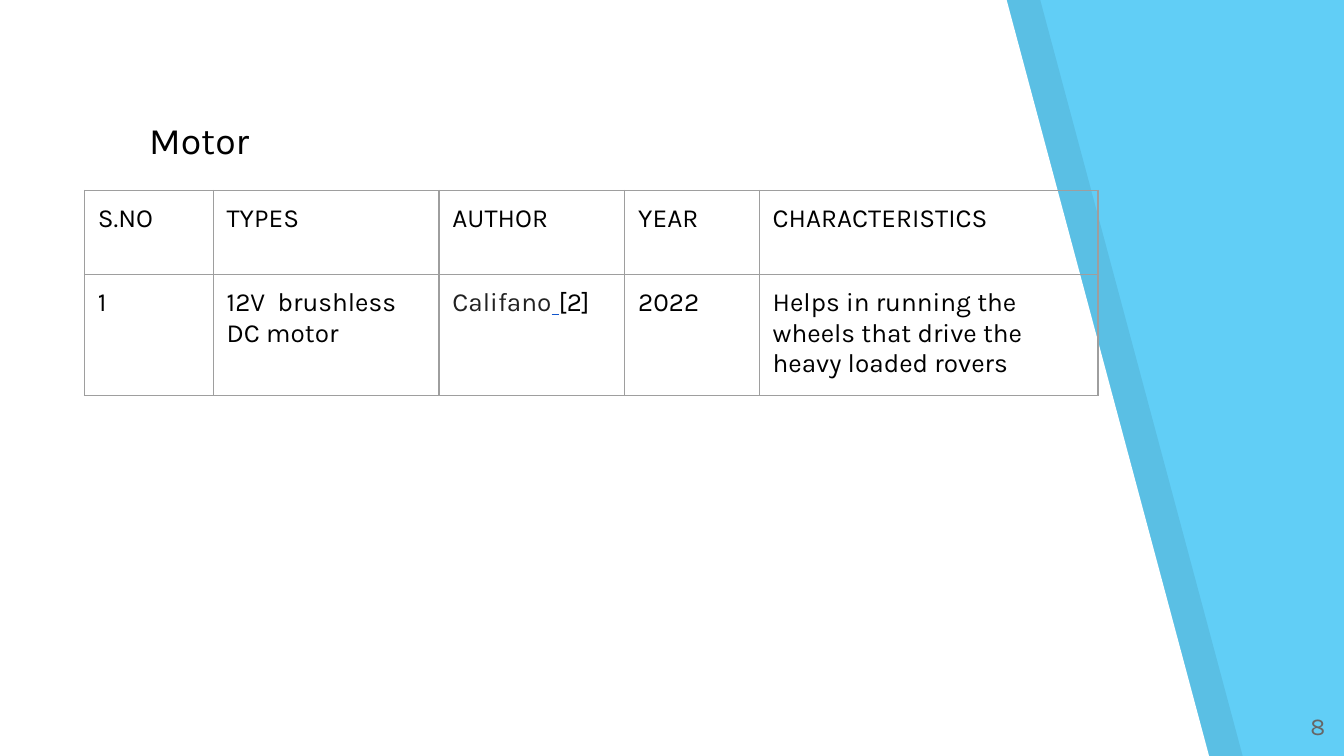
import lxml.etree
import pptx
import pptx.dml.color
import pptx.enum.text
import pptx.oxml.ns
import pptx.util

Pt = pptx.util.Pt
qn = pptx.oxml.ns.qn
ALIGN = pptx.enum.text.PP_ALIGN
ANCHOR = pptx.enum.text.MSO_ANCHOR


def color(hex_string):
    return pptx.dml.color.RGBColor.from_string(hex_string)


def add_text(paragraph, text, size=14, font="Karla", fill="000000",
             underline=None, align=ALIGN.LEFT, space_before=0):
    paragraph.alignment = align
    paragraph.space_before = Pt(space_before)
    run = paragraph.add_run()
    run.text = text
    run.font.size = Pt(size)
    run.font.name = font
    run.font.color.rgb = color(fill)
    run.font.underline = underline


presentation = pptx.Presentation()
presentation.slide_width = Pt(720)
presentation.slide_height = Pt(405)
slide = presentation.slides.add_slide(presentation.slide_layouts[6])

# Blue background
slide.background.fill.solid()
slide.background.fill.fore_color.rgb = color("61CEF6")

# Slanted white panel over its translucent shadow band
for left, fill, opacity in [(18, "000000", 7), (0, "FFFFFF", 100)]:
    outline = [(left, -0.5), (left, 406), (left + 648, 406), (left + 539.3, 0)]
    points = [(Pt(x), Pt(y)) for x, y in outline]
    builder = slide.shapes.build_freeform(*points[0])
    builder.add_line_segments(points[1:], close=True)
    panel = builder.convert_to_shape()
    panel.shadow.inherit = False
    panel.line.fill.background()
    panel.fill.solid()
    panel.fill.fore_color.rgb = color(fill)
    if opacity < 100:
        fill_color = panel.fill._xPr.find(qn("a:solidFill"))[0]
        lxml.etree.SubElement(fill_color, qn("a:alpha"), val=str(opacity * 1000))

# Slide number and title
text_boxes = [
    ("8", (674, 373.5, 43, 31), ANCHOR.MIDDLE,
     dict(size=13, fill="666666", align=ALIGN.RIGHT)),
    ("Motor", (72.8, 55.5, 173, 50), ANCHOR.TOP, dict(size=20, space_before=6)),
]
for text, box, anchor, text_format in text_boxes:
    shape = slide.shapes.add_textbox(*[Pt(length) for length in box])
    frame = shape.text_frame
    frame.word_wrap = True
    frame.vertical_anchor = anchor
    frame.margin_left = frame.margin_right = Pt(7.2)
    frame.margin_top = frame.margin_bottom = Pt(7.2)
    add_text(frame.paragraphs[0], text, **text_format)

# Motor table; a cell is a list of runs with their formats
column_widths = [69, 121, 99.5, 72, 181.5]
row_heights = [45, 63]
author = [
    ("Califano", dict(fill="222222")),
    (" ", dict(size=13.5, font="Arial", fill="1155CC", underline=True)),
    ("[2]", {}),
]
headers = ["S.NO", "TYPES", "AUTHOR", "YEAR", "CHARACTERISTICS"]
motor = ["1", "12V  brushless DC motor", author, "2022",
         "Helps in running the wheels that drive the heavy loaded rovers"]
table = slide.shapes.add_table(
    2, 5, Pt(45.2), Pt(102), Pt(sum(column_widths)), Pt(sum(row_heights))).table
table.first_row = False
table.horz_banding = False
for column, width in zip(table.columns, column_widths):
    column.width = Pt(width)
for row, height, contents in zip(table.rows, row_heights, [headers, motor]):
    row.height = Pt(height)
    for cell, content in zip(row.cells, contents):
        cell.margin_left = cell.margin_right = Pt(7.2)
        cell.margin_top = cell.margin_bottom = Pt(7.2)
        runs = [(content, {})] if isinstance(content, str) else content
        for text, text_format in runs:
            add_text(cell.text_frame.paragraphs[0], text, **text_format)
        # Thin grey borders, no fill
        properties = cell._tc.get_or_add_tcPr()
        for side in ["a:lnL", "a:lnR", "a:lnT", "a:lnB"]:
            border = lxml.etree.SubElement(properties, qn(side), w=str(Pt(0.75)))
            solid = lxml.etree.SubElement(border, qn("a:solidFill"))
            lxml.etree.SubElement(solid, qn("a:srgbClr"), val="9E9E9E")
        cell.fill.background()

presentation.save("out.pptx")
